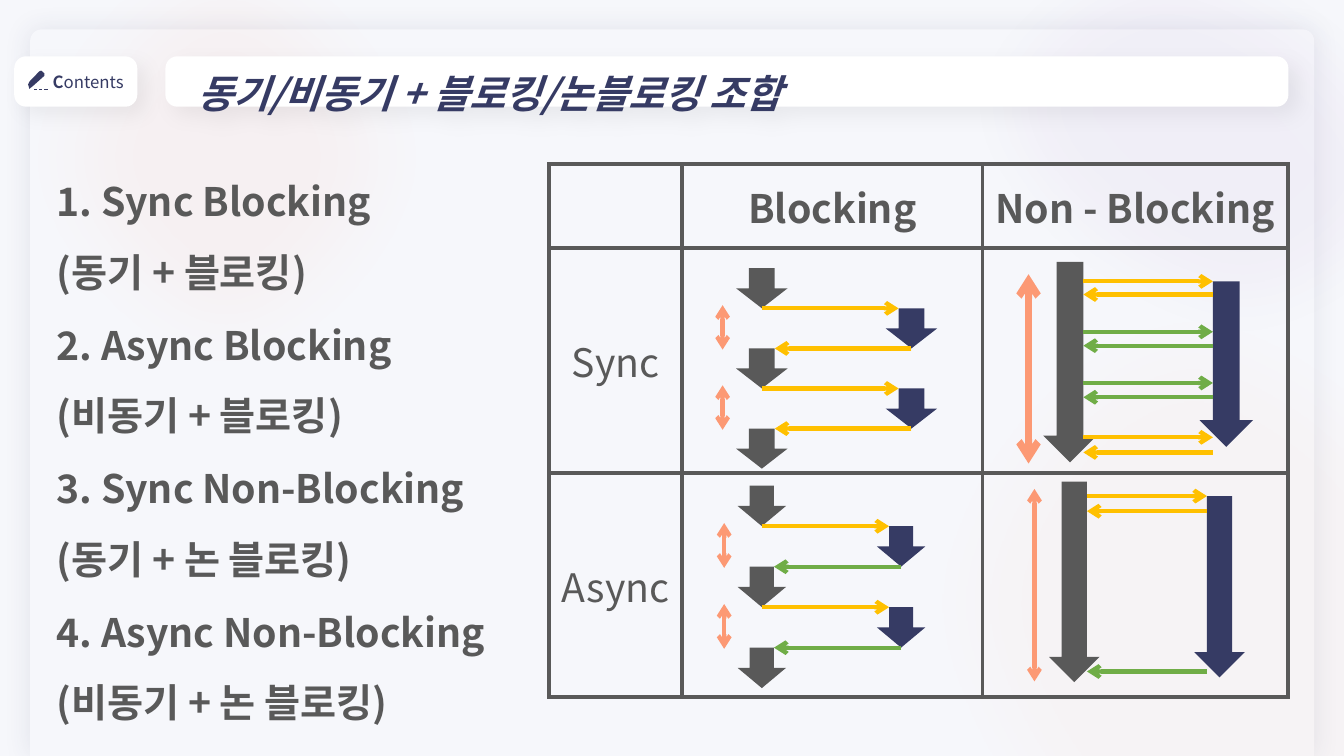
from dataclasses import dataclass

from lxml.etree import SubElement
from pptx import Presentation
from pptx.dml.color import RGBColor
from pptx.enum.shapes import MSO_CONNECTOR, MSO_SHAPE
from pptx.enum.text import MSO_ANCHOR, MSO_AUTO_SIZE, PP_ALIGN
from pptx.oxml.ns import qn
from pptx.util import Cm, Pt


@dataclass(frozen=True)
class Theme:
    """Colours, font and type sizes of the slide."""
    font: str = "Noto Sans CJK KR"
    page: str = "F6F7FB"
    white: str = "FFFFFF"
    navy: str = "363B64"
    gray: str = "595959"
    yellow: str = "FFC000"
    green: str = "70AD47"
    orange: str = "FC9974"
    coral: str = "FD9374"
    purple: str = "7030A0"
    black: str = "000000"
    large: int = 28
    small: int = 12
    line: int = 3


THEME = Theme()


def add_child(parent, tag, **attributes):
    """Append a DrawingML element and return it."""
    return SubElement(parent, qn(tag), {name: str(value) for name, value in attributes.items()})


def style_run(run, size, color, bold=False, italic=False):
    """Set the typeface, size and colour of a run."""
    font = run.font
    font.name, font.size, font.bold, font.italic = THEME.font, Pt(size), bold, italic
    font.color.rgb = RGBColor.from_string(color)
    add_child(run.font._element, "a:ea", typeface=THEME.font)


def add_solid(slide, kind, box, color):
    """Draw a borderless preset shape in one colour."""
    solid = slide.shapes.add_shape(kind, *map(Cm, box))
    solid.shadow.inherit = False
    solid.fill.solid()
    solid.fill.fore_color.rgb = RGBColor.from_string(color)
    solid.line.fill.background()
    return solid


def add_shadow(solid, color, alpha, blur, distance=0, angle=0):
    """Give a shape a soft outer shadow."""
    effects = solid._element.spPr.find(qn("a:effectLst"))
    shadow = add_child(effects, "a:outerShdw", blurRad=Pt(blur), dist=Pt(distance),
                       dir=angle * 60000, algn="ctr", rotWithShape=0)
    tint = add_child(shadow, "a:srgbClr", val=color)
    add_child(tint, "a:alpha", val=alpha * 1000)


def add_line(slide, start, end, color, width=THEME.line, head=False, tail=True):
    """Draw a straight line with optional open arrowheads."""
    line = slide.shapes.add_connector(MSO_CONNECTOR.STRAIGHT, *map(Cm, start + end))
    line.line.color.rgb = RGBColor.from_string(color)
    line.line.width = Pt(width)
    outline = line.line._get_or_add_ln()
    for tag, wanted in (("a:headEnd", head), ("a:tailEnd", tail)):
        if wanted:
            add_child(outline, tag, type="arrow")
    add_child(line._element.spPr, "a:effectLst")


def add_backdrop(slide, box):
    """Draw the page panel and its soft coloured glows."""
    left, top, width, height = box
    slide.background.fill.solid()
    slide.background.fill.fore_color.rgb = RGBColor.from_string(THEME.page)
    panel = add_solid(slide, MSO_SHAPE.ROUND_2_SAME_RECTANGLE,
                      (left + 0.76, top + 0.74, width - 1.51, height - 0.74), THEME.page)
    panel.adjustments[0] = 0.016
    add_shadow(panel, THEME.navy, 10, 18)
    glows = [((0, -2.29, 11.43, 12.47), 0, THEME.coral, 7),
             ((24.64, -3.63, 11.43, 14.3), 291.5, THEME.purple, 4),
             ((22.89, 6.83, 15.9, 18.47), 339.8, THEME.orange, 4)]
    for (x, y, w, h), rotation, color, alpha in glows:
        glow = add_solid(slide, MSO_SHAPE.OVAL, (left + x, top + y, w, h), color)
        glow.rotation = rotation
        properties = glow._element.spPr
        tint = properties.find(qn("a:solidFill")).find(qn("a:srgbClr"))
        add_child(tint, "a:alpha", val=alpha * 1000)
        add_child(properties.find(qn("a:effectLst")), "a:softEdge", rad=Pt(50))


def add_card(slide, box, runs, size, italic=False):
    """Draw a white rounded card with text given as (wording, bold) runs."""
    card = add_solid(slide, MSO_SHAPE.ROUNDED_RECTANGLE, box, THEME.white)
    card.adjustments[0] = 0.237
    add_shadow(card, THEME.black, 5, 15, 8, 45)
    card.text_frame.vertical_anchor = MSO_ANCHOR.MIDDLE
    paragraph = card.text_frame.paragraphs[0]
    for wording, bold in runs:
        run = paragraph.add_run()
        run.text = wording
        style_run(run, size, THEME.navy, bold, italic)
    return card


def add_contents_tab(slide, box):
    """Draw the contents tab with its pencil."""
    left, top = box[:2]
    tab = add_card(slide, box, [("C", True), ("ontents", False)], THEME.small)
    tab.text_frame.paragraphs[0].alignment = PP_ALIGN.RIGHT
    outline = [(0.63, 0.38), (0.68, 0.36), (0.76, 0.43), (0.76, 0.49),
               (0.48, 0.74), (0.38, 0.82), (0.35, 0.71), (0.38, 0.64)]
    points = [(Cm(left + x), Cm(top + y)) for x, y in outline]
    builder = slide.shapes.build_freeform(*points[0])
    builder.add_line_segments(points[1:])
    pencil = builder.convert_to_shape()
    pencil.shadow.inherit = False
    pencil.fill.solid()
    pencil.fill.fore_color.rgb = RGBColor.from_string(THEME.navy)
    pencil.line.fill.background()
    for x in (0.5, 0.63, 0.76):
        add_line(slide, (left + x, top + 0.82), (left + x + 0.08, top + 0.82),
                 THEME.navy, 0.25, tail=False)


def add_title(slide, box, wording):
    """Draw the title bar."""
    title = add_card(slide, box, [(wording, True)], THEME.large, italic=True)
    title.text_frame.margin_left = Cm(0.71)
    title.text_frame.paragraphs[0].alignment = PP_ALIGN.LEFT
    title.text_frame.paragraphs[0].line_spacing = 1.5


def add_combinations(slide, box, combinations):
    """Stack the named combinations down the given box."""
    left, top, _, height = box
    step = height / len(combinations)
    for index, (wording, width) in enumerate(combinations):
        entry = slide.shapes.add_textbox(*map(Cm, (left, top + index * step, width, step)))
        frame = entry.text_frame
        frame.word_wrap = True
        frame.auto_size = MSO_AUTO_SIZE.SHAPE_TO_FIT_TEXT
        frame.text = wording
        frame.paragraphs[0].line_spacing = 1.5
        style_run(frame.paragraphs[0].runs[0], THEME.large, THEME.gray, bold=True)


def add_grid(slide, left, top, widths, heights, labels):
    """Draw the comparison table and return the box of every cell."""
    grid = slide.shapes.add_table(len(heights), len(widths), *map(
        Cm, (left, top, sum(widths), sum(heights)))).table
    grid.first_row = grid.horz_banding = False
    for column, width in zip(grid.columns, widths):
        column.width = Cm(width)
    for row, height in zip(grid.rows, heights):
        row.height = Cm(height)
    for cell in grid.iter_cells():
        properties = cell._tc.get_or_add_tcPr()
        for side in ("a:lnL", "a:lnR", "a:lnT", "a:lnB"):
            border = add_child(properties, side, w=Pt(THEME.line))
            add_child(add_child(border, "a:solidFill"), "a:srgbClr", val=THEME.gray)
        cell.fill.background()
    for (row, column), wording in labels.items():
        cell = grid.cell(row, column)
        cell.vertical_anchor = MSO_ANCHOR.MIDDLE
        cell.text_frame.text = wording
        paragraph = cell.text_frame.paragraphs[0]
        paragraph.alignment = PP_ALIGN.CENTER
        style_run(paragraph.runs[0], THEME.large, THEME.gray, bold=row == 0)
    return [[(left + sum(widths[:column]), top + sum(heights[:row]), width, height)
             for column, width in enumerate(widths)] for row, height in enumerate(heights)]


def add_blocking_flow(slide, box, first, callee_middle, width, step, reply_color):
    """Draw caller and callee taking turns inside a cell."""
    left, top = box[0], box[1] + first
    caller_middle, callee_middle = left + 2.01, left + callee_middle
    for turn in range(5):
        middle, color = ((caller_middle, THEME.gray), (callee_middle, THEME.navy))[turn % 2]
        add_solid(slide, MSO_SHAPE.DOWN_ARROW,
                  (middle - width / 2, top + turn * step, width, step), color)
    wait_x = caller_middle - width / 2 - 0.34
    for call in (1, 3):
        request, reply = top + call * step, top + (call + 1) * step
        add_line(slide, (caller_middle, request), (callee_middle - width / 4, request),
                 THEME.yellow)
        add_line(slide, (callee_middle, reply), (caller_middle + width / 4, reply), reply_color)
        add_line(slide, (wait_x, request - 0.08), (wait_x, reply + 0.03), THEME.orange, head=True)


def add_nonblocking_flow(slide, box, width, caller, callee, wait, wait_width, messages):
    """Draw caller and callee running side by side inside a cell."""
    left, top = box[:2]
    for (x, y, height), color in ((caller, THEME.gray), (callee, THEME.navy)):
        add_solid(slide, MSO_SHAPE.DOWN_ARROW, (left + x, top + y, width, height), color)
    caller_edge = left + caller[0] + width * 0.75
    callee_edge = left + callee[0] + width * 0.25
    for y, is_request, color in messages:
        ends = [(caller_edge, top + y), (callee_edge, top + y)]
        start, end = ends if is_request else reversed(ends)
        add_line(slide, start, end, color)
    wait_x = left + caller[0] - 0.37
    add_line(slide, (wait_x, top + wait[0]), (wait_x, top + wait[1]),
             THEME.orange, wait_width, head=True)


def main():
    """Build the slide and save it."""
    deck = Presentation()
    deck.slide_width, deck.slide_height = Cm(33.87), Cm(19.05)
    slide = deck.slides.add_slide(deck.slide_layouts[6])
    add_backdrop(slide, (0, 0, 33.87, 19.05))
    add_contents_tab(slide, (0.36, 1.42, 3.1, 1.27))
    add_title(slide, (4.17, 1.42, 28.3, 1.27), "동기/비동기 + 블로킹/논블로킹 조합")
    cells = add_grid(slide, 13.84, 4.14, (3.35, 7.57, 7.7), (2.11, 5.66, 5.66), {
        (0, 1): "Blocking", (0, 2): "Non - Blocking", (1, 0): "Sync", (2, 0): "Async"})
    add_combinations(slide, (1.17, 3.76, 11.4, 14.46), [
        ("1. Sync Blocking (동기 + 블로킹)", 9.22), ("2. Async Blocking (비동기 + 블로킹)", 9.22),
        ("3. Sync Non-Blocking (동기 + 논 블로킹)", 11.4),
        ("4. Async Non-Blocking (비동기 + 논 블로킹)", 11.4)])
    add_blocking_flow(slide, cells[1][1], 0.51, 5.78, 1.3, 1.01, THEME.yellow)
    add_blocking_flow(slide, cells[2][1], 0.33, 5.52, 1.22, 1.02, THEME.green)
    polls = [(0.84, 1.17, THEME.yellow), (2.11, 2.46, THEME.green),
             (3.4, 3.76, THEME.green), (4.77, 5.15, THEME.yellow)]
    add_nonblocking_flow(
        slide, cells[1][2], 1.35, (1.53, 0.35, 5.05), (5.47, 0.84, 4.17), (0.66, 5.43), 5,
        [(y, y == request, color) for request, reply, color in polls for y in (request, reply)])
    add_nonblocking_flow(
        slide, cells[2][2], 1.27, (1.68, 0.23, 5.05), (5.34, 0.59, 4.57), (0.41, 5.26), 3,
        [(0.59, True, THEME.yellow), (0.97, False, THEME.yellow), (5.01, False, THEME.green)])
    deck.save("out.pptx")


if __name__ == "__main__":
    main()
